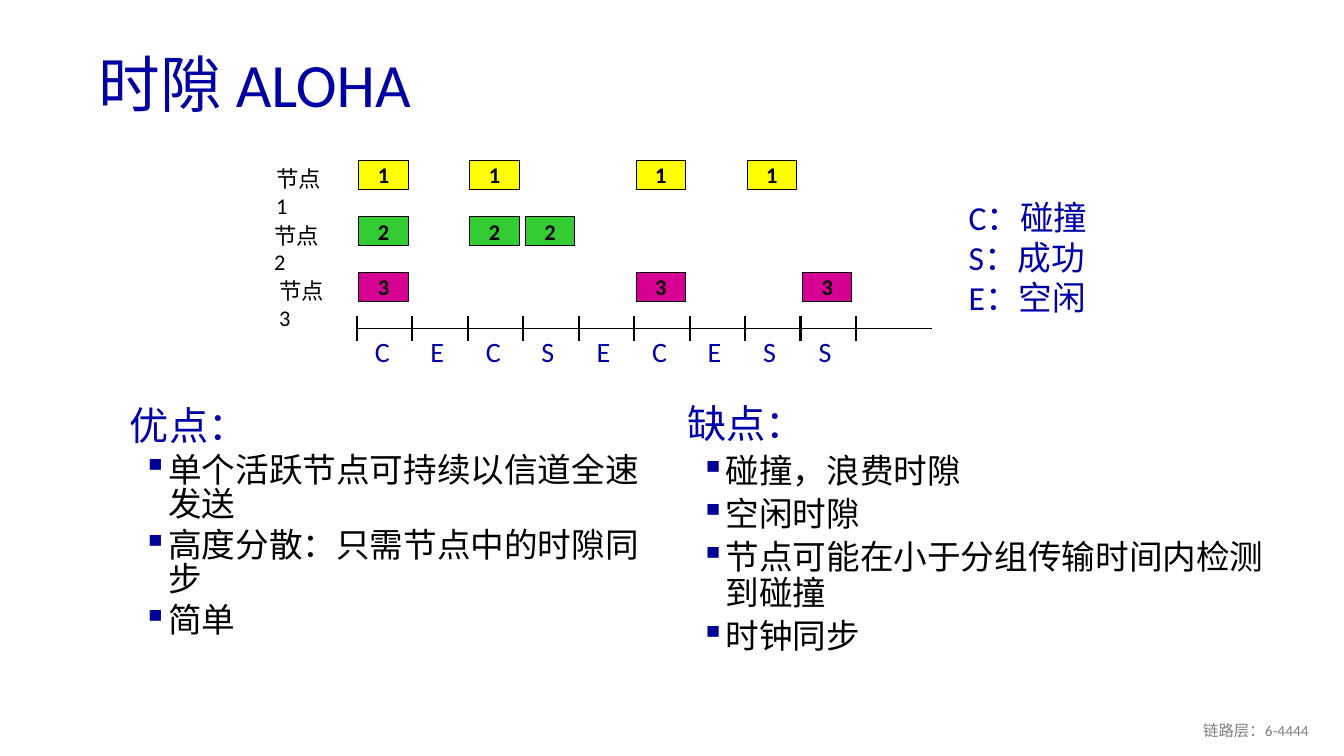
from lxml import etree
from pptx import Presentation
from pptx.dml.color import RGBColor
from pptx.enum.shapes import MSO_CONNECTOR, MSO_SHAPE
from pptx.enum.text import MSO_ANCHOR, PP_ALIGN
from pptx.oxml.ns import qn
from pptx.util import Inches, Pt

STRAIGHT = MSO_CONNECTOR.STRAIGHT
RECTANGLE = MSO_SHAPE.RECTANGLE
TOP, MIDDLE = MSO_ANCHOR.TOP, MSO_ANCHOR.MIDDLE
LEFT, CENTER, RIGHT = PP_ALIGN.LEFT, PP_ALIGN.CENTER, PP_ALIGN.RIGHT

COLORS = {
    "title": "0000A3",
    "accent": "0000A8",
    "bullet": "000099",
    "ink": "000000",
    "footer": "808080",
    "node1": "FFFF00",
    "node2": "33CC33",
    "node3": "D60093",
}

AXIS_LEFT, AXIS_RIGHT, AXIS_Y = 3.54, 9.24, 3.26
SLOT_WIDTH = 0.55
SLOT_RESULTS = "CECSECESS"
NODES = [
    ("1", 2.64, 1.59, (0, 2, 5, 7)),
    ("2", 2.62, 2.15, (0, 2, 3)),
    ("3", 2.67, 2.7, (0, 5, 8)),
]


class SlideBuilder:
    font_name = "Calibri"

    def __init__(self, slide):
        self.slide = slide

    def color(self, name):
        return RGBColor.from_string(COLORS[name])

    def style(self, paragraph, size, color, bold=False):
        paragraph.font.name = self.font_name
        paragraph.font.size = Pt(size)
        paragraph.font.bold = bold
        paragraph.font.color.rgb = self.color(color)

    def text(self, box, lines, size, color, anchor=TOP, align=LEFT, wrap=True, spacing=None):
        frame = self.slide.shapes.add_textbox(*map(Inches, box)).text_frame
        frame.word_wrap = wrap
        frame.vertical_anchor = anchor
        for index, line in enumerate(lines):
            paragraph = frame.add_paragraph() if index else frame.paragraphs[0]
            paragraph.text = line
            paragraph.alignment = align
            if spacing:
                paragraph.line_spacing = spacing
            self.style(paragraph, size, color)
        return frame

    def bulleted(self, box, heading, points, spacing):
        frame = self.text(box, [heading], 28, "accent", spacing=spacing)
        for point in points:
            paragraph = frame.add_paragraph()
            paragraph.text = point
            properties = paragraph._p.get_or_add_pPr()
            properties.set("marL", str(Inches(0.38)))
            properties.set("indent", str(Inches(-0.25)))
            bullet_color = etree.SubElement(properties, qn("a:buClr"))
            etree.SubElement(bullet_color, qn("a:srgbClr"), val=COLORS["bullet"])
            etree.SubElement(properties, qn("a:buChar"), char="▪")
            paragraph.line_spacing = spacing
            paragraph.space_before = Pt(4.8)
            self.style(paragraph, 24, "ink")

    def frame_block(self, left, top, label, fill):
        block = self.slide.shapes.add_shape(
            RECTANGLE, Inches(left), Inches(top), Inches(0.49), Inches(0.29))
        block.shadow.inherit = False
        block.fill.solid()
        block.fill.fore_color.rgb = self.color(fill)
        block.line.color.rgb = self.color("ink")
        block.line.width = Pt(0.75)
        frame = block.text_frame
        frame.margin_left = frame.margin_right = frame.margin_top = frame.margin_bottom = 0
        frame.vertical_anchor = MIDDLE
        paragraph = frame.paragraphs[0]
        paragraph.text = label
        paragraph.alignment = CENTER
        self.style(paragraph, 16, "ink", bold=True)

    def line(self, start, end, width):
        connector = self.slide.shapes.add_connector(STRAIGHT, *map(Inches, start + end))
        connector.line.color.rgb = self.color("ink")
        connector.line.width = Pt(width)
        etree.SubElement(connector._element.spPr, qn("a:effectLst"))


def main():
    deck = Presentation()
    deck.slide_width, deck.slide_height = Inches(13.33), Inches(7.5)
    builder = SlideBuilder(deck.slides.add_slide(deck.slide_layouts[6]))

    builder.text((0.88, 0.38, 11.5, 0.98), ["时隙 ALOHA"], 44, "title", MIDDLE, spacing=0.9)
    builder.text((10.08, 7.05, 3, 0.4), ["链路层：6-4444"], 11, "footer", MIDDLE, RIGHT)

    builder.bulleted((1.19, 4, 5.3, 3.5), "优点：", [
        "单个活跃节点可持续以信道全速发送",
        "高度分散：只需节点中的时隙同步",
        "简单",
    ], 0.85)
    builder.bulleted((6.72, 3.97, 6.1, 3), "缺点：", [
        "碰撞，浪费时隙",
        "空闲时隙",
        "节点可能在小于分组传输时间内检测到碰撞",
        "时钟同步",
    ], 0.9)

    for number, label_left, top, slots in NODES:
        builder.text((label_left, top, 0.8, 0.37), [f"节点 {number}"], 16, "ink")
        for slot in slots:
            left = AXIS_LEFT + 0.02 + slot * SLOT_WIDTH
            builder.frame_block(left, top, number, f"node{number}")

    builder.line((AXIS_LEFT, AXIS_Y), (AXIS_RIGHT, AXIS_Y), 0.75)
    for tick in range(len(SLOT_RESULTS) + 1):
        x = AXIS_LEFT + tick * SLOT_WIDTH
        builder.line((x, AXIS_Y - 0.12), (x, AXIS_Y + 0.12), 1.5)
    for slot, result in enumerate(SLOT_RESULTS):
        left = AXIS_LEFT + 0.08 + slot * SLOT_WIDTH
        builder.text((left, 3.27, 0.35, 0.44), [result], 20, "accent", wrap=False)

    builder.text((9.51, 1.9, 1.66, 1.31), ["C：碰撞", "S：成功", "E：空闲"], 24, "accent", wrap=False)

    deck.save("out.pptx")


if __name__ == "__main__":
    main()
